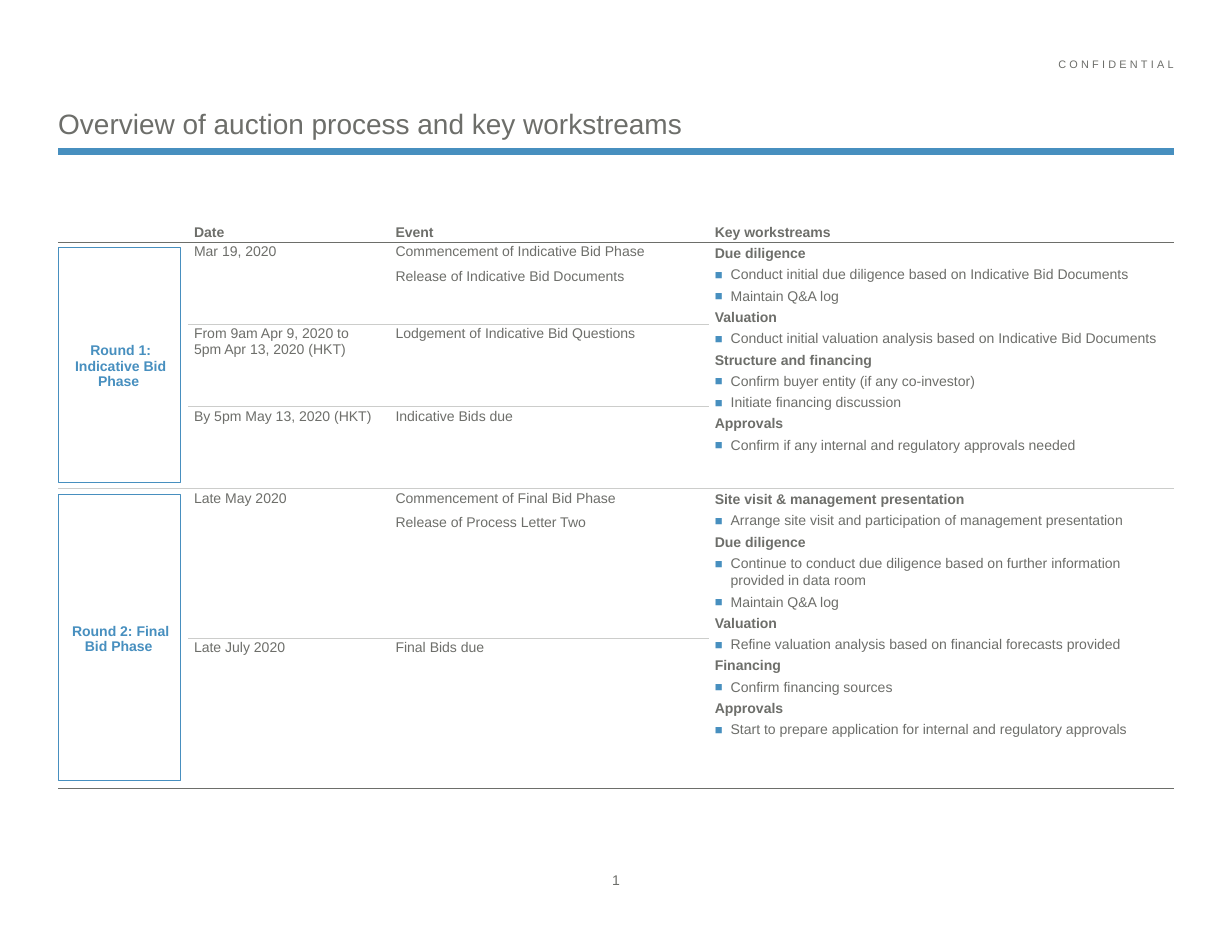
from lxml.etree import SubElement
from pptx import Presentation
from pptx.dml.color import RGBColor
from pptx.enum.shapes import MSO_CONNECTOR as Connector, MSO_SHAPE as Preset
from pptx.enum.text import MSO_ANCHOR as Anchor, MSO_AUTO_SIZE as AutoSize, PP_ALIGN as Align
from pptx.oxml.ns import qn
from pptx.util import Cm, Pt

BLUE = RGBColor(0x47, 0x8F, 0xBF)
GREY = RGBColor(0x6D, 0x6E, 0x6A)
PALE = RGBColor(0xCC, 0xCD, 0xCB)

LEFT, WIDTH = 1.32, 25.3
TABLE_TOP = 4.98
COLUMNS = [2.95, 4.57, 7.24, 10.54]
ROWS = [0.51, 1.86, 1.86, 1.86, 3.4, 3.4]
ROUND_COLUMN, WORK_COLUMN = 0, 3

HEADINGS = ["Date", "Event", "Key workstreams"]
ROUNDS = [
    {
        "name": "Round 1: Indicative Bid Phase ",
        "frame": (5.61, 5.33),
        "steps": [
            ("Mar 19, 2020", ["Commencement of Indicative Bid Phase",
                              "Release of Indicative Bid Documents"]),
            ("From 9am Apr 9, 2020 to 5pm Apr 13, 2020 (HKT)",
             ["Lodgement of Indicative Bid Questions"]),
            ("By 5pm May 13, 2020 (HKT)", ["Indicative Bids due"]),
        ],
        "work": {
            "Due diligence": ["Conduct initial due diligence based on Indicative Bid Documents",
                              "Maintain Q&A log"],
            "Valuation": ["Conduct initial valuation analysis based on Indicative Bid Documents"],
            "Structure and financing": ["Confirm buyer entity (if any co-investor)",
                                        "Initiate financing discussion"],
            "Approvals": ["Confirm if any internal and regulatory approvals needed"],
        },
    },
    {
        "name": "Round 2: Final Bid Phase ",
        "frame": (11.21, 6.5),
        "steps": [
            ("Late May 2020", ["Commencement of Final Bid Phase",
                               "Release of Process Letter Two"]),
            ("Late July 2020", ["Final Bids due"]),
        ],
        "work": {
            "Site visit & management presentation":
                ["Arrange site visit and participation of management presentation "],
            "Due diligence": ["Continue to conduct due diligence based on further information "
                              "provided in data room", "Maintain Q&A log"],
            "Valuation": ["Refine valuation analysis based on financial forecasts provided"],
            "Financing": ["Confirm financing sources"],
            "Approvals": ["Start to prepare application for internal and regulatory approvals"],
        },
    },
]


def write(frame, text, size=9, color=GREY, bold=False, align=Align.LEFT, before=0, after=0,
          spacing=1.0, tracking=None, bullet=False):
    """Add one formatted paragraph, filling the first one if it is empty."""
    first = frame.paragraphs[0]
    paragraph = frame.add_paragraph() if first.runs else first
    paragraph.alignment, paragraph.line_spacing = align, spacing
    paragraph.space_before, paragraph.space_after = Pt(before), Pt(after)
    run = paragraph.add_run()
    run.text = text
    font = run.font
    font.name, font.size, font.bold = "Arial", Pt(size), bold
    font.color.rgb = color
    if tracking:
        font._element.set("spc", str(int(tracking * 100)))
    if bullet:
        properties = paragraph._p.get_or_add_pPr()
        properties.set("marL", str(Cm(0.36)))
        properties.set("indent", str(-Cm(0.36)))
        bullet_color = SubElement(properties, qn("a:buClr"))
        SubElement(bullet_color, qn("a:srgbClr"), val=str(BLUE))
        SubElement(properties, qn("a:buSzPct"), val="92000")
        SubElement(properties, qn("a:buFont"), typeface="Arial")
        SubElement(properties, qn("a:buChar"), char="■")


class Deck:
    """Hold the slide and the ways to place elements on it."""

    def __init__(self, width, height):
        """Start a presentation with one title-only slide."""
        self.presentation = Presentation()
        self.presentation.slide_width = Cm(width)
        self.presentation.slide_height = Cm(height)
        self.slide = self.presentation.slides.add_slide(self.presentation.slide_layouts[5])

    def fit(self, frame, anchor, wrap=True):
        """Remove the insets of a text frame and fix its behaviour."""
        frame.margin_left = frame.margin_right = frame.margin_top = frame.margin_bottom = 0
        frame.vertical_anchor, frame.word_wrap = anchor, wrap
        frame.auto_size = AutoSize.NONE

    def title(self, text, left, top, width, height):
        """Move and fill the title placeholder."""
        shape = self.slide.shapes.title
        shape.left, shape.top, shape.width, shape.height = map(Cm, (left, top, width, height))
        self.fit(shape.text_frame, Anchor.BOTTOM)
        write(shape.text_frame, text, size=18)

    def text(self, text, left, top, width, height, anchor=Anchor.TOP, wrap=True, **style):
        """Add a text box."""
        shape = self.slide.shapes.add_textbox(*map(Cm, (left, top, width, height)))
        self.fit(shape.text_frame, anchor, wrap)
        write(shape.text_frame, text, spacing=1.1, **style)

    def line(self, left, right, top, weight):
        """Add a horizontal blue line."""
        line = self.slide.shapes.add_connector(
            Connector.STRAIGHT, Cm(left), Cm(top), Cm(right), Cm(top))
        line.line.color.rgb, line.line.width = BLUE, Pt(weight)
        SubElement(line._element.spPr, qn("a:effectLst"))

    def frame(self, left, top, width, height):
        """Add an unfilled blue rectangle."""
        shape = self.slide.shapes.add_shape(
            Preset.RECTANGLE, *map(Cm, (left, top, width, height)))
        shape.shadow.inherit = False
        shape.fill.background()
        shape.line.color.rgb, shape.line.width = BLUE, Pt(0.75)

    def table(self, left, top, columns, rows):
        """Add a plain table and return it."""
        table = self.slide.shapes.add_table(
            len(rows), len(columns), Cm(left), Cm(top), Cm(sum(columns)), Cm(sum(rows))).table
        table.first_row = table.horz_banding = False
        for column, width in zip(table.columns, columns):
            column.width = Cm(width)
        for row, height in zip(table.rows, rows):
            row.height = Cm(height)
        return table

    def cell(self, cell, top, bottom, anchor=Anchor.TOP, inset=0):
        """Set the insets, fill and upper and lower border of a cell."""
        cell.margin_left, cell.margin_right = Cm(0.13), Cm(0.25)
        cell.margin_top, cell.margin_bottom = Cm(0.05), Cm(inset)
        cell.vertical_anchor = anchor
        properties = cell._tc.get_or_add_tcPr()
        for side, color in (("L", None), ("R", None), ("T", top), ("B", bottom)):
            border = SubElement(properties, qn(f"a:ln{side}"), w=str(Pt(0.5)))
            if color is None:
                SubElement(border, qn("a:noFill"))
            else:
                fill = SubElement(border, qn("a:solidFill"))
                SubElement(fill, qn("a:srgbClr"), val=str(color))
        cell.fill.background()


def build_schedule(deck):
    """Fill the table of rounds, dates, events and workstreams."""
    table = deck.table(LEFT, TABLE_TOP, COLUMNS, ROWS)
    for column in range(len(COLUMNS)):
        cell = table.cell(0, column)
        deck.cell(cell, None, GREY, Anchor.BOTTOM, inset=0.03)
        if column:
            write(cell.text_frame, HEADINGS[column - 1], bold=True, after=3)
        else:
            SubElement(cell.text_frame.paragraphs[0]._p, qn("a:endParaRPr"), sz="900")
    start, upper = 1, GREY
    for number, phase in enumerate(ROUNDS, 1):
        end = start + len(phase["steps"]) - 1
        lower = GREY if number == len(ROUNDS) else PALE
        for column in (ROUND_COLUMN, WORK_COLUMN):
            anchor = Anchor.MIDDLE if column == ROUND_COLUMN else Anchor.TOP
            for row in range(start, end + 1):
                deck.cell(table.cell(row, column), upper if row == start else None, lower, anchor)
            table.cell(start, column).merge(table.cell(end, column))
        write(table.cell(start, ROUND_COLUMN).text_frame, phase["name"], color=BLUE, bold=True,
              align=Align.CENTER, before=2.6, after=3)
        work = table.cell(start, WORK_COLUMN).text_frame
        for topic, tasks in phase["work"].items():
            write(work, topic, bold=True, before=2.6, spacing=1.1)
            for task in tasks:
                write(work, task, before=2.6, spacing=1.1, bullet=True)
        for row, (date, events) in enumerate(phase["steps"], start):
            for column, lines in ((1, [date]), (2, events)):
                cell = table.cell(row, column)
                deck.cell(cell, upper if row == start else PALE, lower if row == end else PALE)
                for index, text in enumerate(lines):
                    write(cell.text_frame, text, before=2.6 if index else 0, after=3)
        start, upper = end + 1, lower


deck = Deck(27.94, 21.59)
deck.line(LEFT, LEFT + WIDTH, 3.43, 4.5)
deck.text("CONFIDENTIAL", 6.68, 1.27, 19.94, 0.61, size=7, align=Align.RIGHT, tracking=2.1)
deck.title("Overview of auction process and key workstreams", LEFT, 1.27, WIDTH, 1.9)
deck.text("1", 13.65, 19.69, 0.64, 0.51, Anchor.MIDDLE, wrap=False, align=Align.CENTER)
build_schedule(deck)
for phase in ROUNDS:
    frame_top, frame_height = phase["frame"]
    deck.frame(LEFT, frame_top, 2.77, frame_height)
deck.presentation.save("out.pptx")
